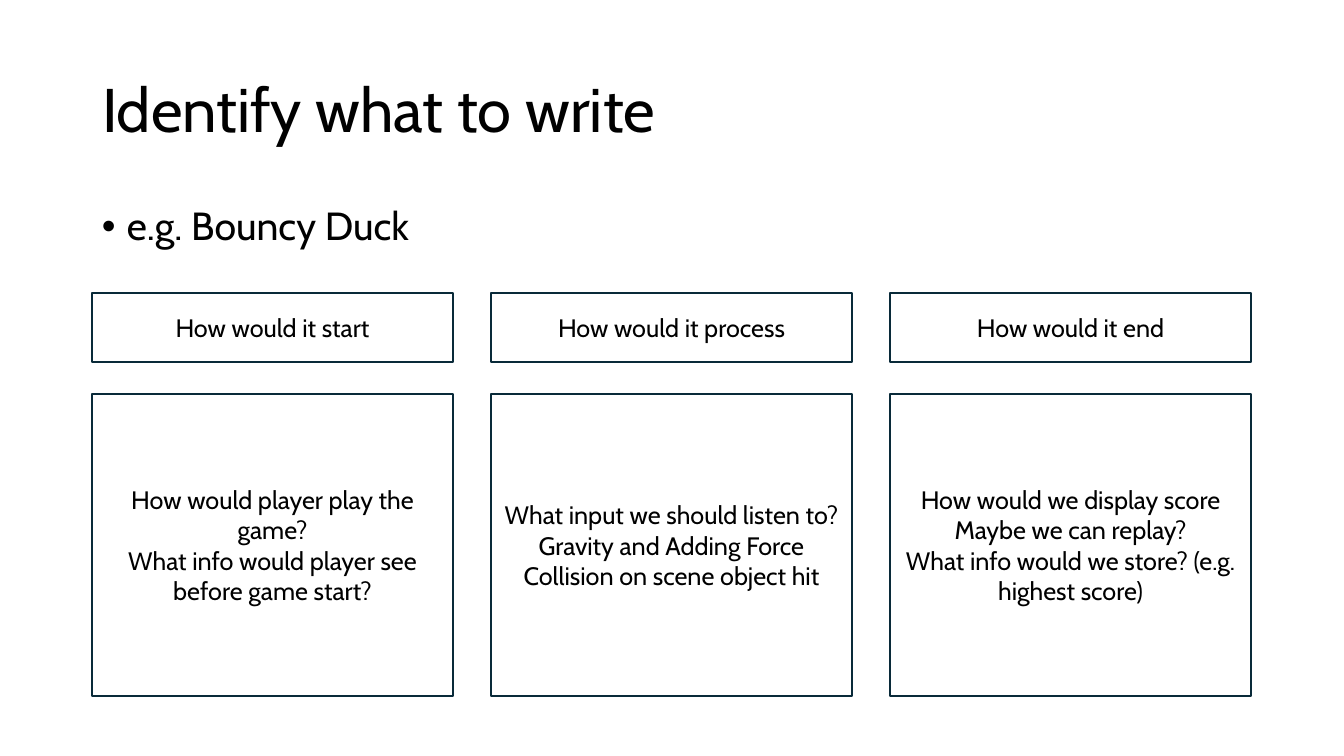
import pptx
import pptx.dml.color
import pptx.enum.shapes
import pptx.enum.text
import pptx.oxml.ns
import pptx.util
import lxml.etree

PX = 914400 / 100.8
COLORS = {"text": "000000", "box": "FFFFFF", "border": "092A39"}
ALIGN = pptx.enum.text.PP_ALIGN
ANCHOR = pptx.enum.text.MSO_ANCHOR


def px(*lengths):
    return [pptx.util.Emu(round(length * PX)) for length in lengths]


def style(frame, size, align, anchor, spacing=1.0):
    frame.word_wrap = True
    frame.auto_size = pptx.enum.text.MSO_AUTO_SIZE.NONE
    frame.vertical_anchor = anchor
    for paragraph in frame.paragraphs:
        paragraph.alignment = align
        paragraph.line_spacing = spacing
        for run in paragraph.runs:
            run.font.name = "Cabin"
            run.font.size = pptx.util.Pt(size)
            run.font.color.rgb = pptx.dml.color.RGBColor.from_string(COLORS["text"])


deck = pptx.Presentation()
deck.slide_width, deck.slide_height = px(1344, 756)
slide = deck.slides.add_slide(deck.slide_layouts[5])

# Title
title = slide.shapes.title
title.left, title.top, title.width, title.height = px(92, 40, 1159, 146)
title.text_frame.text = "Identify what to write"
style(title.text_frame, 44, ALIGN.LEFT, ANCHOR.MIDDLE, 0.9)

# Example bullet
example = slide.shapes.add_textbox(*px(92, 202, 1159, 92)).text_frame
example.text = "e.g. Bouncy Duck"
bullet_props = example.paragraphs[0]._p.get_or_add_pPr()
indent = px(25)[0]
bullet_props.set("marL", str(indent))
bullet_props.set("indent", str(-indent))
for tag, key, value in (("a:buFont", "typeface", "Arial"), ("a:buChar", "char", "•")):
    lxml.etree.SubElement(bullet_props, pptx.oxml.ns.qn(tag)).set(key, value)
style(example, 28, ALIGN.LEFT, ANCHOR.TOP, 0.9)

# Three stages: a heading box above a box of questions
stages = [
    ("How would it start",
     "How would player play the game?\n"
     "What info would player see before game start?"),
    ("How would it process",
     "What input we should listen to?\n"
     "Gravity and Adding Force\n"
     "Collision on scene object hit"),
    ("How would it end",
     "How would we display score\n"
     "Maybe we can replay?\n"
     "What info would we store? (e.g. highest score)"),
]
for column, (heading, questions) in enumerate(stages):
    for top, height, wording in ((293, 69, heading), (394, 302, questions)):
        box = slide.shapes.add_shape(
            pptx.enum.shapes.MSO_SHAPE.RECTANGLE,
            *px(92 + column * 399, top, 361, height))
        box.shadow.inherit = False
        box.fill.solid()
        box.fill.fore_color.rgb = pptx.dml.color.RGBColor.from_string(COLORS["box"])
        box.line.color.rgb = pptx.dml.color.RGBColor.from_string(COLORS["border"])
        box.line.width = pptx.util.Pt(1.5)
        box.text_frame.text = wording
        style(box.text_frame, 18, ALIGN.CENTER, ANCHOR.MIDDLE)

deck.save("out.pptx")
